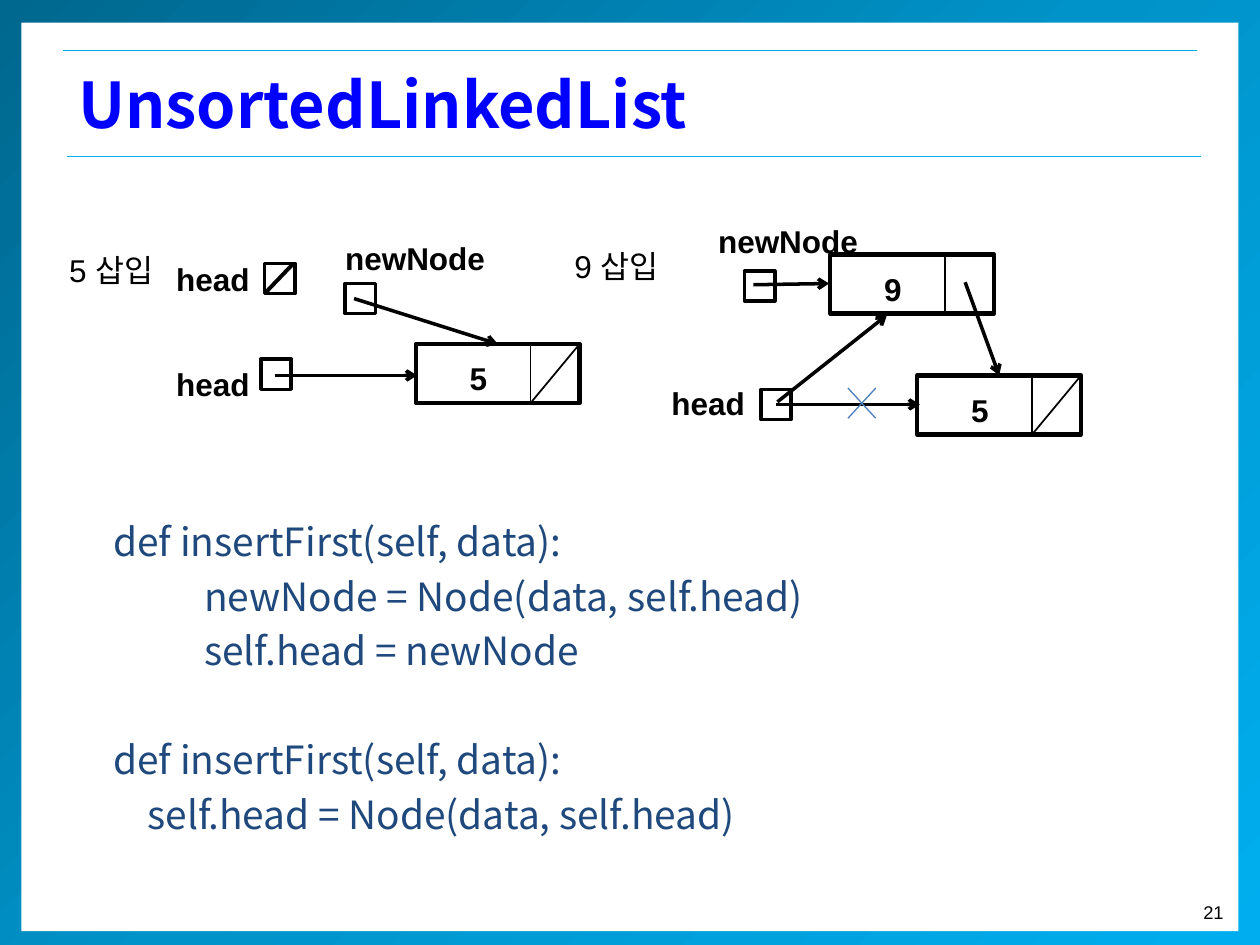
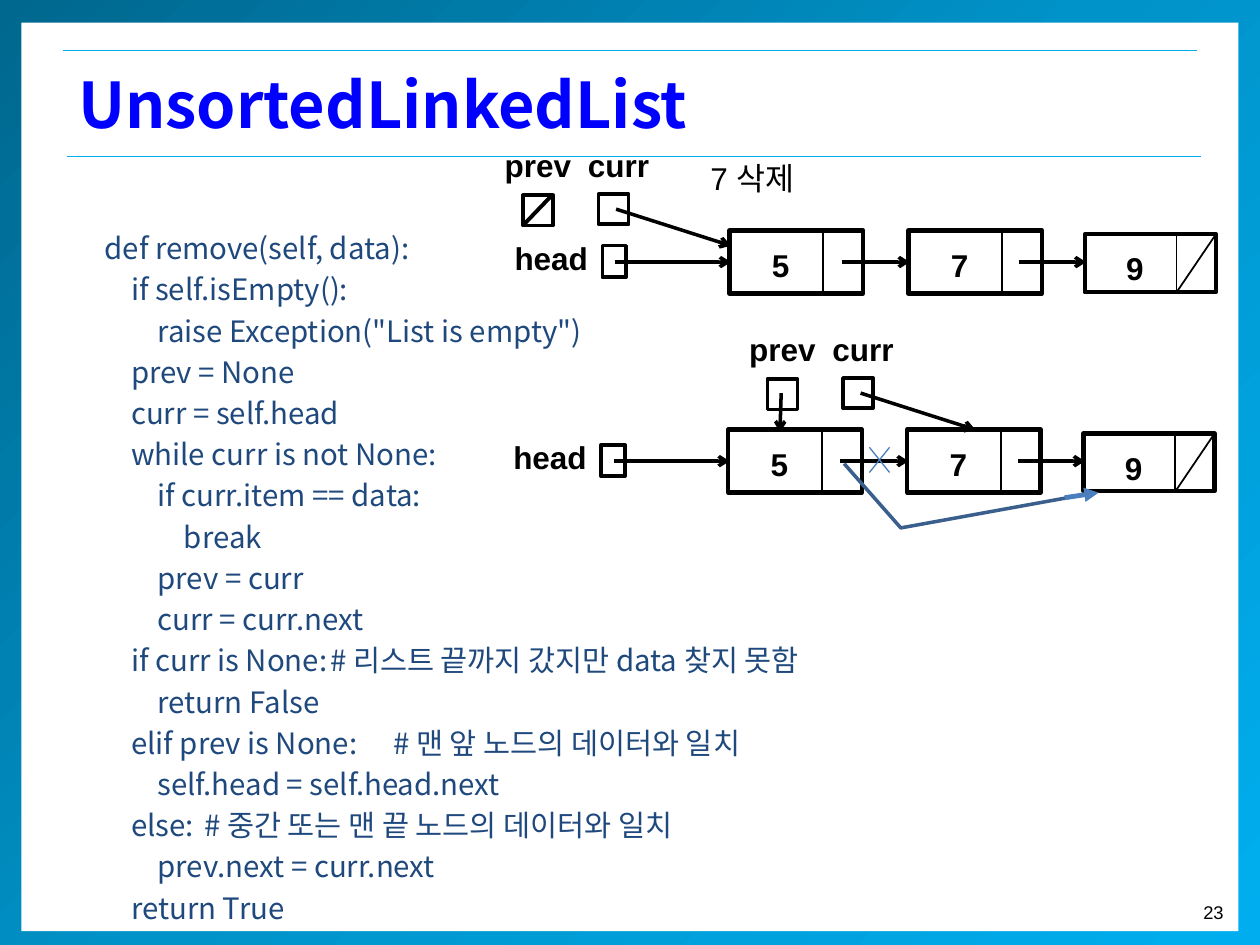
"""Build two slides that explain insertion and removal in an unsorted linked list."""
from dataclasses import dataclass
from typing import Any, Optional

import lxml.etree
import pptx
import pptx.dml.color
import pptx.enum.shapes
import pptx.enum.text
import pptx.oxml.ns
import pptx.util

Inches = pptx.util.Inches
Pt = pptx.util.Pt
qn = pptx.oxml.ns.qn
Align = pptx.enum.text.PP_ALIGN
RECTANGLE = pptx.enum.shapes.MSO_SHAPE.RECTANGLE

COLOURS = {
    "black": "000000",
    "white": "FFFFFF",
    "title": "0000FF",
    "code": "1F497D",
    "rule": "00AEEF",
    "cross": "4B7EBC",
    "bypass": "3A5F8C",
}
BAND_STOPS = ((0, "00678E"), (50, "0093C9"), (100, "00AEEF"))
CODE_FONT = "Noto Sans CJK KR"
LABEL_FONT = "Arial"
TITLE = "UnsortedLinkedList"


@dataclass(frozen=True)
class Box:
    left: float
    top: float
    width: float
    height: float

    def lengths(self) -> tuple:
        return tuple(Inches(v) for v in (self.left, self.top, self.width, self.height))


@dataclass(frozen=True)
class Stroke:
    width: float
    colour: str = "black"
    arrow: Optional[str] = None


@dataclass(frozen=True)
class Node:
    box: Box
    value: str
    last: bool = False


@dataclass(frozen=True)
class CodeLine:
    text: str
    indent: float
    gap: float = 0
    comment: str = ""
    comment_at: float = 0


THIN = Stroke(1)
MEDIUM = Stroke(2)
NIL = Stroke(2.25)
THICK = Stroke(2.5)
ARROW = Stroke(2, arrow="arrow")
RULE = Stroke(0.75, "rule")
CROSS = Stroke(0.75, "cross")
BYPASS = Stroke(2, "bypass")
BYPASS_HEAD = Stroke(2.75, "cross", "triangle")

TITLE_BOX = Box(0.52, 0.4, 9.07, 0.84)
BODY_BOX = Box(0.52, 1.44, 8.92, 5.23)

STEP = 0.21
INSERT_CODE = (
    CodeLine("def insertFirst(self, data):", 0.28),
    CodeLine("newNode = Node(data, self.head)", 1),
    CodeLine("self.head = newNode", 1),
    CodeLine("def insertFirst(self, data):", 0.28, gap=31.1),
    CodeLine("self.head = Node(data, self.head)", 0.55),
)
REMOVE_CODE = (
    CodeLine("def remove(self, data):", STEP),
    CodeLine("if self.isEmpty():", 2 * STEP),
    CodeLine('raise Exception("List is empty")', 3 * STEP),
    CodeLine("prev = None", 2 * STEP),
    CodeLine("curr = self.head", 2 * STEP),
    CodeLine("while curr is not None:", 2 * STEP),
    CodeLine("if curr.item == data:", 3 * STEP),
    CodeLine("break", 4 * STEP),
    CodeLine("prev = curr", 3 * STEP),
    CodeLine("curr = curr.next", 3 * STEP),
    CodeLine("if curr is None:", 2 * STEP,
             comment="# 리스트 끝까지 갔지만 data 찾지 못함", comment_at=2.18),
    CodeLine("return False", 3 * STEP),
    CodeLine("elif prev is None:", 2 * STEP,
             comment="# 맨 앞 노드의 데이터와 일치", comment_at=2.32),
    CodeLine("self.head = self.head.next", 3 * STEP),
    CodeLine("else:", 2 * STEP,
             comment="# 중간 또는 맨 끝 노드의 데이터와 일치", comment_at=1.7),
    CodeLine("prev.next = curr.next", 3 * STEP),
    CodeLine("return True", 2 * STEP),
)


def rgb(name: str) -> pptx.dml.color.RGBColor:
    return pptx.dml.color.RGBColor.from_string(COLOURS[name])


def write_text(paragraph: Any, text: str, *, size: float = 18, font: str = LABEL_FONT,
               colour: str = "black", bold: bool = False, align: Any = Align.LEFT) -> None:
    paragraph.alignment = align
    run = paragraph.add_run()
    run.text = text
    run.font.size = Pt(size)
    run.font.name = font
    run.font.bold = bold
    run.font.color.rgb = rgb(colour)
    east_asian = lxml.etree.Element(qn("a:ea"), typeface=CODE_FONT)
    run.font._element.find(qn("a:latin")).addnext(east_asian)


def apply_stroke(shape: Any, stroke: Stroke) -> None:
    shape.line.color.rgb = rgb(stroke.colour)
    shape.line.width = Pt(stroke.width)


def add_text(shapes: Any, box: Box, text: str, inset: float = 0.05, wrap: bool = True,
             **text_format: Any) -> None:
    frame = shapes.add_textbox(*box.lengths()).text_frame
    frame.word_wrap = wrap
    frame.margin_top = Inches(inset)
    write_text(frame.paragraphs[0], text, **text_format)


def add_label(shapes: Any, box: Box, text: str) -> None:
    add_text(shapes, box, text, inset=0.07, bold=True, align=Align.CENTER)


def add_rectangle(shapes: Any, box: Box, stroke: Optional[Stroke] = None) -> Any:
    shape = shapes.add_shape(RECTANGLE, *box.lengths())
    shape.shadow.inherit = False
    shape.fill.background()
    if stroke:
        apply_stroke(shape, stroke)
    else:
        shape.line.fill.background()
    return shape


def add_line(shapes: Any, start: tuple, end: tuple, stroke: Stroke) -> Any:
    line = shapes.add_connector(pptx.enum.shapes.MSO_CONNECTOR.STRAIGHT,
                                *(Inches(v) for v in (*start, *end)))
    apply_stroke(line, stroke)
    properties = line.element.spPr
    if stroke.arrow:
        lxml.etree.SubElement(properties.find(qn("a:ln")), qn("a:tailEnd"), type=stroke.arrow)
    lxml.etree.SubElement(properties, qn("a:effectLst"))
    return line


def add_cell(shapes: Any, left: float, top: float, nil: bool = False) -> None:
    side = 0.24
    add_rectangle(shapes, Box(left, top, side, side), MEDIUM)
    if nil:
        add_line(shapes, (left + side - 0.01, top), (left, top + side), NIL)


def add_node(shapes: Any, node: Node) -> None:
    box = node.box
    divider = box.left + 0.7 * box.width
    bottom = box.top + box.height
    add_rectangle(shapes, box, THICK)
    add_line(shapes, (divider, box.top + 0.01), (divider, bottom + 0.01), THIN)
    add_label(shapes, Box(box.left + 0.09 * box.width, box.top + 0.05,
                          0.585 * box.width, 0.32), node.value)
    if node.last:
        add_line(shapes, (box.left + box.width, box.top), (divider, bottom), THIN)


def add_cross(shapes: Any, box: Box) -> None:
    right, bottom = box.left + box.width, box.top + box.height
    add_line(shapes, (box.left, box.top), (right, bottom), CROSS)
    add_line(shapes, (right, box.top), (box.left, bottom), CROSS)


def add_chain(slide: Any, left: float, top: float) -> None:
    shapes = slide.shapes.add_group_shape().shapes
    add_rectangle(shapes, Box(left + 0.85, top + 0.12, 0.19, 0.25), MEDIUM)
    add_label(shapes, Box(left, top, 0.89, 0.37), "head")
    nodes = (Node(Box(left + 1.86, top, 1.06, 0.5), "5"),
             Node(Box(left + 3.28, top, 1.06, 0.5), "7"),
             Node(Box(left + 4.68, top + 0.03, 1.04, 0.46), "9", last=True))
    for node in nodes:
        add_node(shapes, node)
    for start, end in ((0.95, 1.87), (2.75, 3.29), (4.16, 4.69)):
        add_line(shapes, (left + start, top + 0.25), (left + end, top + 0.25), ARROW)


def add_cursors(slide: Any, left: float, top: float, prev_is_nil: bool) -> None:
    shapes = slide.shapes
    add_label(shapes, Box(left - 0.28, top - 0.46, 0.8, 0.4), "prev")
    add_label(shapes, Box(left + 0.36, top - 0.46, 0.8, 0.4), "curr")
    add_cell(shapes, left, top, nil=prev_is_nil)
    add_cell(shapes, left + 0.6, top - 0.01)
    add_line(shapes, (left + 0.74, top + 0.11), (left + 1.65, top + 0.4), ARROW)


def draw_frame(slide: Any, master: Any) -> None:
    band = add_rectangle(slide.shapes, Box(0, -0.04, 10, 7.59))
    band.fill.gradient()
    band.fill.gradient_angle = 315
    stops = band.element.spPr.find(".//" + qn("a:gsLst"))
    stops.clear()
    for position, colour in BAND_STOPS:
        stop = lxml.etree.SubElement(stops, qn("a:gs"), pos=str(position * 1000))
        lxml.etree.SubElement(stop, qn("a:srgbClr"), val=colour)
    panel = add_rectangle(slide.shapes, Box(0.17, 0.18, 9.66, 7.21))
    panel.fill.solid()
    panel.fill.fore_color.rgb = rgb("white")
    rules = [add_line(slide.shapes, (left, top), (left + 9, top), RULE)
             for left, top in ((0.5, 0.4), (0.53, 1.24))]
    for shape in (band, panel, *rules):
        master.shapes.element.append(shape.element)


def place(placeholder: Any, box: Box, anchor: Any) -> Any:
    placeholder.left, placeholder.top, placeholder.width, placeholder.height = box.lengths()
    frame = placeholder.text_frame
    frame.auto_size = pptx.enum.text.MSO_AUTO_SIZE.NONE
    frame.vertical_anchor = anchor
    return frame


def write_code(frame: Any, lines: tuple, size: float, pitch: float) -> None:
    for index, line in enumerate(lines):
        paragraph = frame.add_paragraph() if index else frame.paragraphs[0]
        paragraph.line_spacing = Pt(pitch)
        paragraph.space_before = Pt(line.gap)
        properties = paragraph._p.get_or_add_pPr()
        properties.set("marL", "0")
        properties.set("indent", str(Inches(line.indent)))
        lxml.etree.SubElement(properties, qn("a:buNone"))
        text = line.text
        if line.comment:
            text += "\t" + line.comment
            tabs = lxml.etree.SubElement(properties, qn("a:tabLst"))
            lxml.etree.SubElement(tabs, qn("a:tab"), pos=str(Inches(line.comment_at)), algn="l")
        write_text(paragraph, text, size=size, font=CODE_FONT, colour="code")


def add_code_slide(presentation: Any, number: str, lines: tuple, size: float,
                   pitch: float, inset: float) -> Any:
    slide = presentation.slides.add_slide(presentation.slide_layouts[1])
    anchors = pptx.enum.text.MSO_ANCHOR
    title = place(slide.shapes.title, TITLE_BOX, anchors.MIDDLE)
    write_text(title.paragraphs[0], TITLE, size=36, font=CODE_FONT, colour="title", bold=True)
    body = place(slide.placeholders[1], BODY_BOX, anchors.TOP)
    body.margin_top = Inches(inset)
    write_code(body, lines, size, pitch)
    add_text(slide.shapes, Box(9.42, 7.1, 0.39, 0.28), number, wrap=False,
             size=10.5, align=Align.RIGHT)
    return slide


def draw_insertions(slide: Any) -> None:
    shapes = slide.shapes
    for left, top, text in ((0.45, 1.94, "5 삽입"), (4.46, 1.91, "9 삽입")):
        add_text(shapes, Box(left, top, 2.14, 0.4), text)
    for left, top in ((1.14, 1.99), (1.14, 2.83), (5.07, 2.98)):
        add_label(shapes, Box(left, top, 1.1, 0.35), "head")
    for left, top in ((2.58, 1.83), (5.54, 1.69)):
        add_label(shapes, Box(left, top, 1.43, 0.31), "newNode")
    add_cell(shapes, 2.1, 2.09, nil=True)
    for left, top in ((2.74, 2.25), (2.07, 2.85), (5.91, 2.15), (6.04, 3.09)):
        add_cell(shapes, left, top)
    for left, top, value in ((3.3, 2.73, "5"), (6.59, 2.02, "9"), (7.28, 2.98, "5")):
        add_node(shapes, Node(Box(left, top, 1.3, 0.47), value, last=value == "5"))
    for start, end in (((2.81, 2.37), (3.95, 2.73)), ((2.18, 2.98), (3.31, 2.98)),
                       ((5.98, 2.26), (6.58, 2.25)), ((6.16, 3.21), (7.3, 3.21)),
                       ((7.66, 2.24), (7.93, 2.98)), ((6.17, 3.19), (7.04, 2.5))):
        add_line(shapes, start, end, ARROW)
    add_cross(shapes, Box(6.73, 3.08, 0.22, 0.24))


def draw_removal(slide: Any) -> None:
    shapes = slide.shapes
    add_text(shapes, Box(5.54, 1.21, 2.14, 0.4), "7 삭제")
    add_chain(slide, 3.93, 1.83)
    add_cursors(slide, 4.15, 1.55, prev_is_nil=True)
    add_chain(slide, 3.92, 3.41)
    add_cursors(slide, 6.09, 3.01, prev_is_nil=False)
    add_line(shapes, (6.2, 3.12), (6.19, 3.43), ARROW)
    builder = shapes.build_freeform(Inches(6.7), Inches(3.68))
    builder.add_line_segments([(Inches(x), Inches(y)) for x, y in
                               ((7.15, 4.19), (8.64, 3.92), (8.66, 3.9))], close=False)
    bypass = builder.convert_to_shape()
    bypass.shadow.inherit = False
    bypass.fill.background()
    apply_stroke(bypass, BYPASS)
    add_line(shapes, (8.45, 3.95), (8.72, 3.91), BYPASS_HEAD)
    add_cross(shapes, Box(6.9, 3.55, 0.16, 0.2))


def main() -> None:
    presentation = pptx.Presentation()
    presentation.slide_width, presentation.slide_height = Inches(10), Inches(7.5)
    insertion = add_code_slide(presentation, "21", INSERT_CODE, 22.2, 31.1, 2.61)
    draw_frame(insertion, presentation.slide_master)
    draw_insertions(insertion)
    removal = add_code_slide(presentation, "23", REMOVE_CODE, 16.8, 23.55, 0.34)
    draw_removal(removal)
    presentation.save("out.pptx")


if __name__ == "__main__":
    main()
